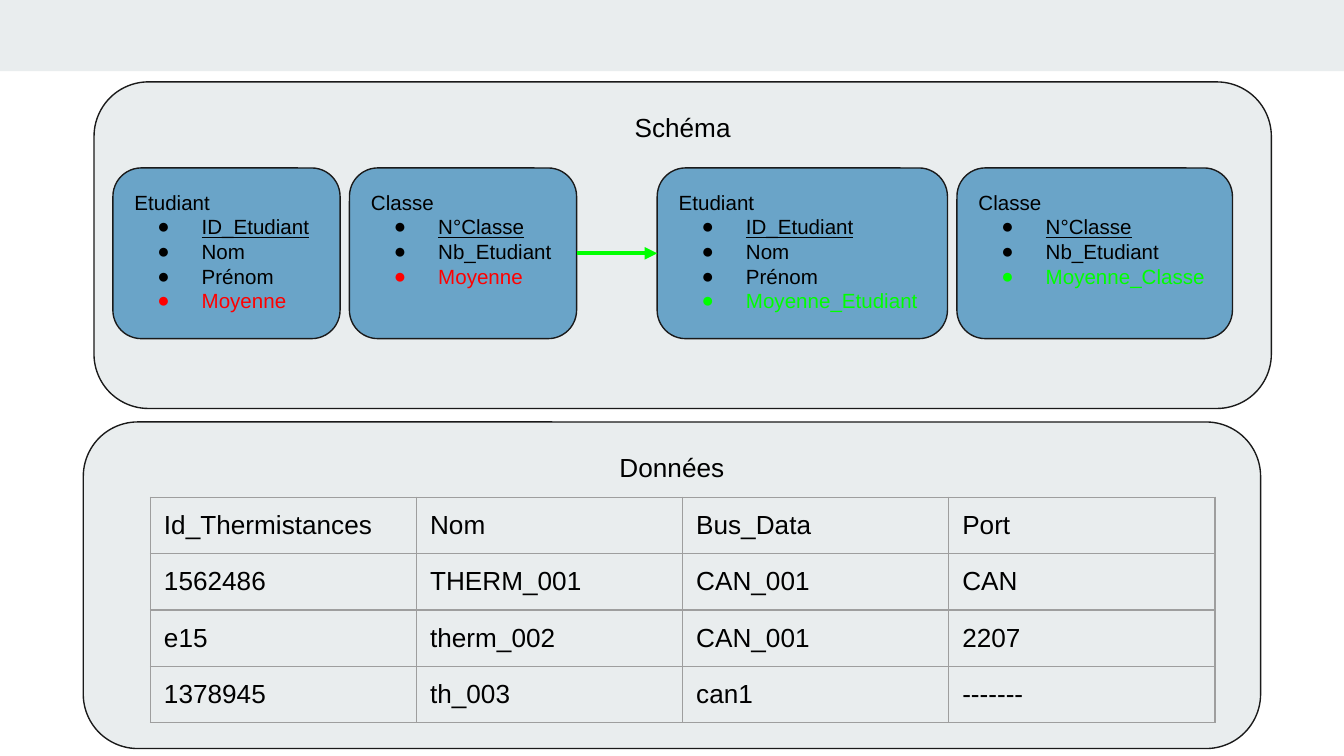
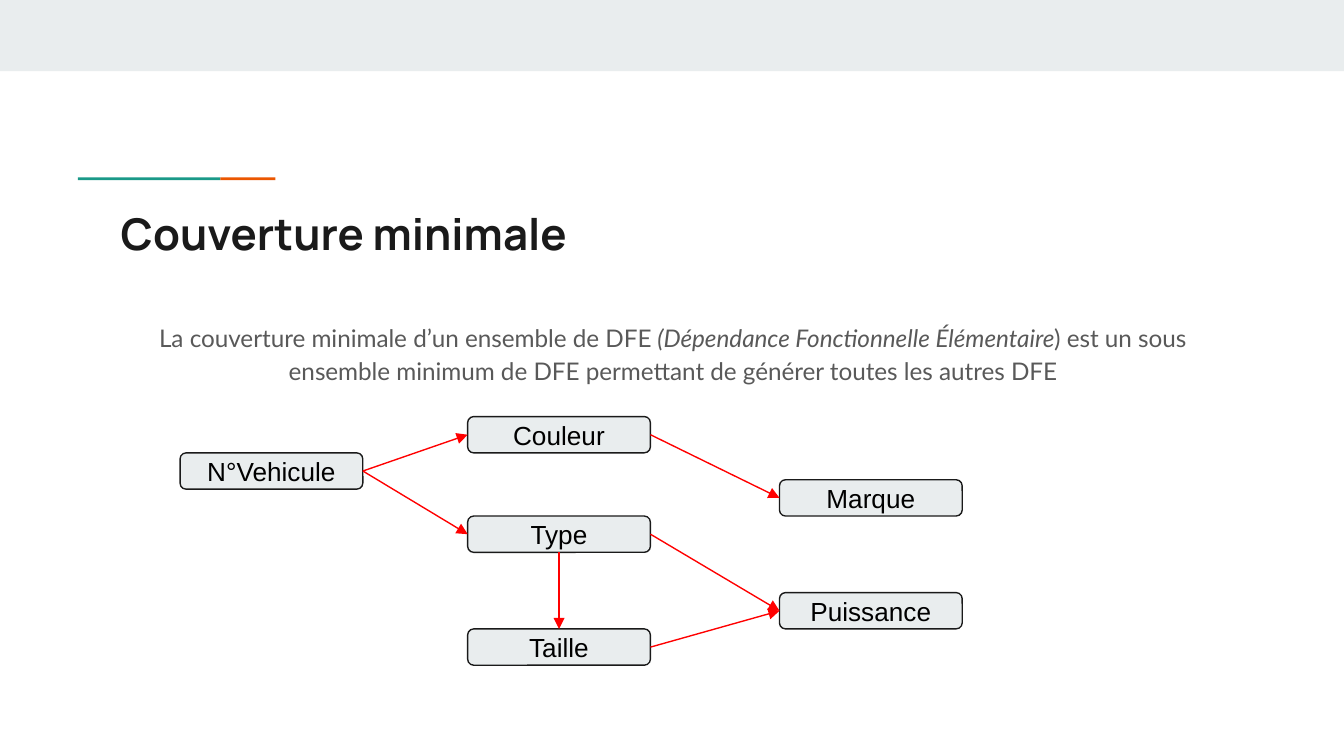
from lxml.etree import SubElement
from pptx import Presentation
from pptx.dml.color import RGBColor
from pptx.enum.shapes import MSO_CONNECTOR as Connector, MSO_SHAPE as Preset
from pptx.enum.text import MSO_ANCHOR as Anchor, PP_ALIGN as Align
from pptx.oxml.ns import qn
from pptx.util import Inches, Pt

PALE = RGBColor(0xE9, 0xED, 0xEE)
BLUE = RGBColor(0x6A, 0xA4, 0xC8)
INK = RGBColor(0x1A, 0x1A, 0x1A)
BLACK = RGBColor(0x00, 0x00, 0x00)
GREY = RGBColor(0x59, 0x59, 0x59)
BORDER = RGBColor(0x9E, 0x9E, 0x9E)
RED = RGBColor(0xFF, 0x00, 0x00)
GREEN = RGBColor(0x00, 0xFF, 0x00)
TEAL = RGBColor(0x1A, 0x99, 0x88)
ORANGE = RGBColor(0xEB, 0x56, 0x00)

WIDTH, HEIGHT = 10, 5.625
INSET = 0.1


def add_box(page, kind, left, top, width, height, fill=None, line=None, anchor=Anchor.TOP):
    """Add a preset shape, or a text box when kind is None; lengths in inches."""
    area = [Inches(value) for value in (left, top, width, height)]
    if kind is None:
        box = page.shapes.add_textbox(*area)
    else:
        box = page.shapes.add_shape(kind, *area)
        box.shadow.inherit = False
        box.fill.solid()
        box.fill.fore_color.rgb = fill
        if line is None:
            box.line.fill.background()
        else:
            box.line.color.rgb = line
            box.line.width = Pt(0.75)
    frame = box.text_frame
    frame.word_wrap = True
    frame.vertical_anchor = anchor
    frame.margin_left = frame.margin_right = Inches(INSET)
    frame.margin_top = frame.margin_bottom = Inches(INSET)
    return box


def write(frame, text, size=14, color=BLACK, font="Arial", bold=False, italic=False,
          underline=False, align=Align.LEFT, bullet=False, joined=False):
    """Write text as a new paragraph, or as a span of the last one when joined."""
    para = frame.paragraphs[-1]
    if para.runs and not joined:
        para = frame.add_paragraph()
    para.alignment = align
    if bullet:
        props = para._p.get_or_add_pPr()
        props.set("marL", str(Inches(0.5)))
        props.set("indent", str(-Inches(0.33)))
        SubElement(SubElement(props, qn("a:buClr")), qn("a:srgbClr")).set("val", str(color))
        SubElement(props, qn("a:buFont")).set("typeface", font)
        SubElement(props, qn("a:buChar")).set("char", "●")
    span = para.add_run()
    span.text = text
    span.font.name = font
    span.font.size = Pt(size)
    span.font.color.rgb = color
    span.font.bold = bold
    span.font.italic = italic
    span.font.underline = underline
    return para


deck = Presentation()
deck.slide_width, deck.slide_height = Inches(WIDTH), Inches(HEIGHT)
schema_page, cover_page = [deck.slides.add_slide(deck.slide_layouts[6]) for _ in range(2)]
for page in (schema_page, cover_page):
    add_box(page, Preset.RECTANGLE, 0, 0, WIDTH, 0.53, PALE)

# Slide 1: schema before and after, then the data
for title, left, top in (("Schéma", 0.7, 0.61), ("Données", 0.62, 3.14)):
    panel = add_box(schema_page, Preset.ROUNDED_RECTANGLE, left, top, 8.76, 2.43, PALE, INK)
    write(panel.text_frame, title, align=Align.CENTER)

student = ["Etudiant", "ID_Etudiant", "Nom", "Prénom"]
group = ["Classe", "N°Classe", "Nb_Etudiant"]
entities = [
    (0.84, 1.69, student, "Moyenne", RED),
    (2.6, 1.69, group, "Moyenne", RED),
    (4.89, 2.16, student, "Moyenne_Etudiant", GREEN),
    (7.12, 2.05, group, "Moyenne_Classe", GREEN),
]
cards = []
for left, width, (name, key, *fields), average, color in entities:
    card = add_box(schema_page, Preset.ROUNDED_RECTANGLE, left, 1.25, width, 1.27, BLUE, INK)
    frame = card.text_frame
    write(frame, name, size=11)
    write(frame, key, size=11, underline=True, bullet=True)
    for field in fields:
        write(frame, field, size=11, bullet=True)
    write(frame, average, size=11, color=color, bullet=True)
    cards.append(card)

records = [
    ["Id_Thermistances", "Nom", "Bus_Data", "Port"],
    ["1562486", "THERM_001", "CAN_001", "CAN"],
    ["e15", "therm_002", "CAN_001", "2207"],
    ["1378945", "th_003", "can1", "-------"],
]
COLUMN, ROW = 1.98, 0.42
count = len(records)
table = schema_page.shapes.add_table(count, count, Inches(1.12), Inches(3.7),
                                     Inches(COLUMN * count), Inches(ROW * count)).table
table.first_row = table.horz_banding = False
for row, record in enumerate(records):
    table.rows[row].height = Inches(ROW)
    for column, value in enumerate(record):
        table.columns[column].width = Inches(COLUMN)
        cell = table.cell(row, column)
        cell.margin_left = cell.margin_right = Inches(INSET)
        cell.margin_top = cell.margin_bottom = Inches(INSET)
        write(cell.text_frame, value)
        props = cell._tc.get_or_add_tcPr()
        for side in ("a:lnL", "a:lnR", "a:lnT", "a:lnB"):
            edge = SubElement(props, qn(side), w=str(Pt(0.75)))
            paint = SubElement(edge, qn("a:solidFill"))
            SubElement(paint, qn("a:srgbClr")).set("val", str(BORDER))
        cell.fill.background()

# Slide 2: minimal cover
for left, width, color in ((0.58, 1.06, TEAL), (1.64, 0.41, ORANGE)):
    add_box(cover_page, Preset.RECTANGLE, left, 1.32, width, 0.02, color)

title = add_box(cover_page, None, 0.8, 1.44, 8.41, 0.59)
write(title.text_frame, "Couverture minimale", size=23.4, color=INK, font="Manrope", bold=True)

body = add_box(cover_page, None, 0.8, 2.27, 8.41, 2.47)
definition = [
    ("La couverture minimale d’un ensemble de DFE ", False),
    ("(Dépendance Fonctionnelle Élémentaire", True),
    (") est un sous ensemble minimum de DFE permettant de générer toutes les autres DFE", False),
]
for text, italic in definition:
    para = write(body.text_frame, text, size=13, color=GREY, font="Lato", italic=italic,
                 align=Align.CENTER, joined=True)
para.line_spacing = 1.15
para.space_after = Pt(12)

SOURCE, MIDDLE, RESULT = 1.34, 3.48, 5.8
places = {
    "N°Vehicule": (SOURCE, 3.37),
    "Couleur": (MIDDLE, 3.1),
    "Type": (MIDDLE, 3.84),
    "Marque": (RESULT, 3.57),
    "Puissance": (RESULT, 4.41),
    "Taille": (MIDDLE, 4.68),
}
nodes = {}
for name, (left, top) in places.items():
    nodes[name] = add_box(cover_page, Preset.ROUNDED_RECTANGLE, left, top, 1.36, 0.27,
                          PALE, INK, Anchor.MIDDLE)
    write(nodes[name].text_frame, name, align=Align.CENTER)

# Arrows of both slides, glued to the connection sites of their shapes
TOP, LEFT, BOTTOM, RIGHT = range(4)
arrows = [(schema_page, cards[1], RIGHT, cards[2], LEFT, GREEN, 2.25)]
dependencies = [
    ("N°Vehicule", RIGHT, "Couleur", LEFT),
    ("N°Vehicule", RIGHT, "Type", LEFT),
    ("Couleur", RIGHT, "Marque", LEFT),
    ("Type", RIGHT, "Puissance", LEFT),
    ("Taille", RIGHT, "Puissance", LEFT),
    ("Type", BOTTOM, "Taille", TOP),
]
for start, start_site, end, end_site in dependencies:
    arrows.append((cover_page, nodes[start], start_site, nodes[end], end_site, RED, 0.75))

for page, start, start_site, end, end_site, color, weight in arrows:
    arrow = page.shapes.add_connector(Connector.STRAIGHT, 0, 0, 0, 0)
    arrow.begin_connect(start, start_site)
    arrow.end_connect(end, end_site)
    arrow.line.color.rgb = color
    arrow.line.width = Pt(weight)
    SubElement(arrow.line._get_or_add_ln(), qn("a:tailEnd")).set("type", "triangle")
    SubElement(arrow._element.spPr, qn("a:effectLst"))

deck.save("out.pptx")
